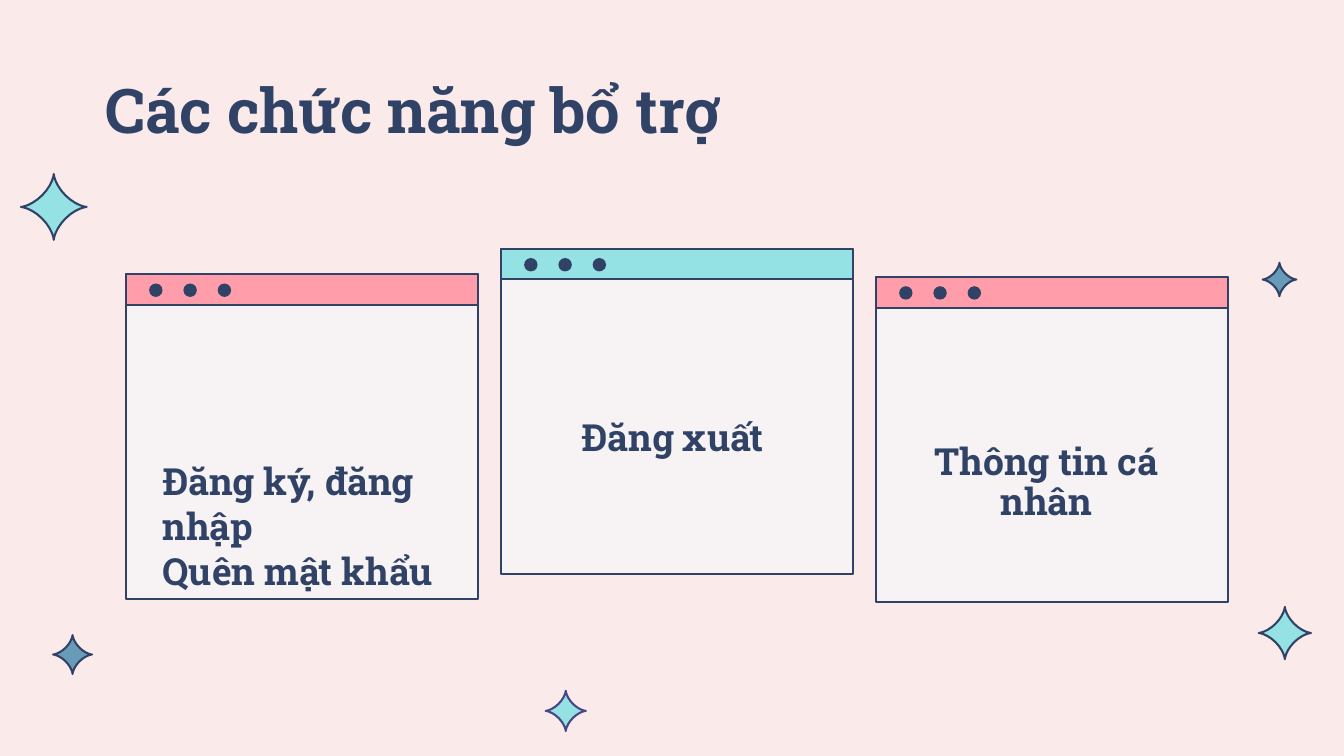
from math import cos, pi, sin

from pptx import Presentation
from pptx.dml.color import RGBColor
from pptx.enum.shapes import MSO_SHAPE
from pptx.enum.text import MSO_ANCHOR, PP_ALIGN
from pptx.util import Inches, Pt

RECTANGLE, OVAL = MSO_SHAPE.RECTANGLE, MSO_SHAPE.OVAL
TOP, MIDDLE = MSO_ANCHOR.TOP, MSO_ANCHOR.MIDDLE
LEFT, CENTER = PP_ALIGN.LEFT, PP_ALIGN.CENTER

FONT = "Roboto Slab"
NAVY, VIOLET = "304266", "474784"
AQUA, STEEL, PINK = "94E2E4", "689BB8", "FF9DAA"
BACKGROUND, PANEL = "FAEAEA", "F7F3F4"

CARD_LEFT, CARD_STEP = 0.94, 2.79
CARD_WIDTH, CARD_HEIGHT, BAR_HEIGHT = 2.62, 2.42, 0.23
STAR_STEPS = 48

STARS = [
    (9.52, 2.08, 0.25, STEEL, NAVY),
    (4.21, 5.29, 0.3, AQUA, VIOLET),
    (0.54, 4.87, 0.29, STEEL, NAVY),
    (0.4, 1.54, 0.49, AQUA, NAVY),
    (9.56, 4.71, 0.39, AQUA, NAVY),
]
CARDS = [
    (2.04, PINK, ["Đăng ký, đăng nhập", "Quên mật khẩu"], 0.17, 1.32, 2.44, LEFT, 1.0),
    (1.85, AQUA, ["Đăng xuất"], 0.16, 1.22, 2.23, CENTER, 0.9),
    (2.06, PINK, ["Thông tin cá nhân"], 0.15, 1.19, 2.23, CENTER, 0.9),
]


def color(value):
    """Turn a hex string into a colour."""
    return RGBColor.from_string(value)


def paint(shape, fill, line=None):
    """Give a shape a flat fill and an optional outline."""
    shape.shadow.inherit = False
    shape.fill.solid()
    shape.fill.fore_color.rgb = color(fill)
    if line:
        shape.line.color.rgb = color(line)
        shape.line.width = Pt(1.11)
    else:
        shape.line.fill.background()


def add_preset(page, kind, box, fill, line=None):
    """Add a painted preset shape in a box of inches."""
    paint(page.shapes.add_shape(kind, *map(Inches, box)), fill, line)


def add_text(page, box, lines, size, anchor=TOP, alignment=LEFT, spacing=1.0):
    """Add a wrapped text box with one paragraph per line."""
    frame = page.shapes.add_textbox(*map(Inches, box)).text_frame
    frame.word_wrap = True
    frame.vertical_anchor = anchor
    for index, line in enumerate(lines):
        para = frame.add_paragraph() if index else frame.paragraphs[0]
        para.alignment = alignment
        para.line_spacing = spacing
        span = para.add_run()
        span.text = line
        span.font.name = FONT
        span.font.size = Pt(size)
        span.font.bold = True
        span.font.color.rgb = color(NAVY)


def add_star(page, center_x, center_y, size, fill, line):
    """Draw a four-pointed star as an astroid around its center."""
    points = []
    for step in range(STAR_STEPS):
        angle = 2 * pi * step / STAR_STEPS
        points.append((Inches(center_x + size / 2 * cos(angle) ** 3),
                       Inches(center_y + size / 2 * sin(angle) ** 3)))
    builder = page.shapes.build_freeform(*points[0])
    builder.add_line_segments(points[1:], close=True)
    paint(builder.convert_to_shape(), fill, line)


def add_card(page, left, top, bar, lines, text_x, text_y, text_width, alignment, spacing):
    """Draw a browser window card with its caption."""
    add_preset(page, RECTANGLE, (left, top, CARD_WIDTH, CARD_HEIGHT), PANEL, NAVY)
    add_preset(page, RECTANGLE, (left, top, CARD_WIDTH, BAR_HEIGHT), bar, NAVY)
    for index in range(3):
        dot_left = left + 0.17 + index * 0.51 / 2
        add_preset(page, OVAL, (dot_left, top + 0.07, 0.1, 0.1), NAVY)
    add_text(page, (left + text_x, top + text_y, text_width, 0.43), lines, 20,
             alignment=alignment, spacing=spacing)


def main():
    """Build and save the slide."""
    deck = Presentation()
    deck.slide_width, deck.slide_height = Inches(10), Inches(10 * 9 / 16)
    page = deck.slides.add_slide(deck.slide_layouts[6])
    page.background.fill.solid()
    page.background.fill.fore_color.rgb = color(BACKGROUND)
    for star in STARS:
        add_star(page, *star)
    for index, card in enumerate(CARDS):
        add_card(page, CARD_LEFT + index * CARD_STEP, *card)
    add_text(page, (0.69, 0.3, 8.62, 1.09), ["Các chức năng bổ trợ"], 33,
             anchor=MIDDLE, spacing=0.9)
    deck.save("out.pptx")


if __name__ == "__main__":
    main()
